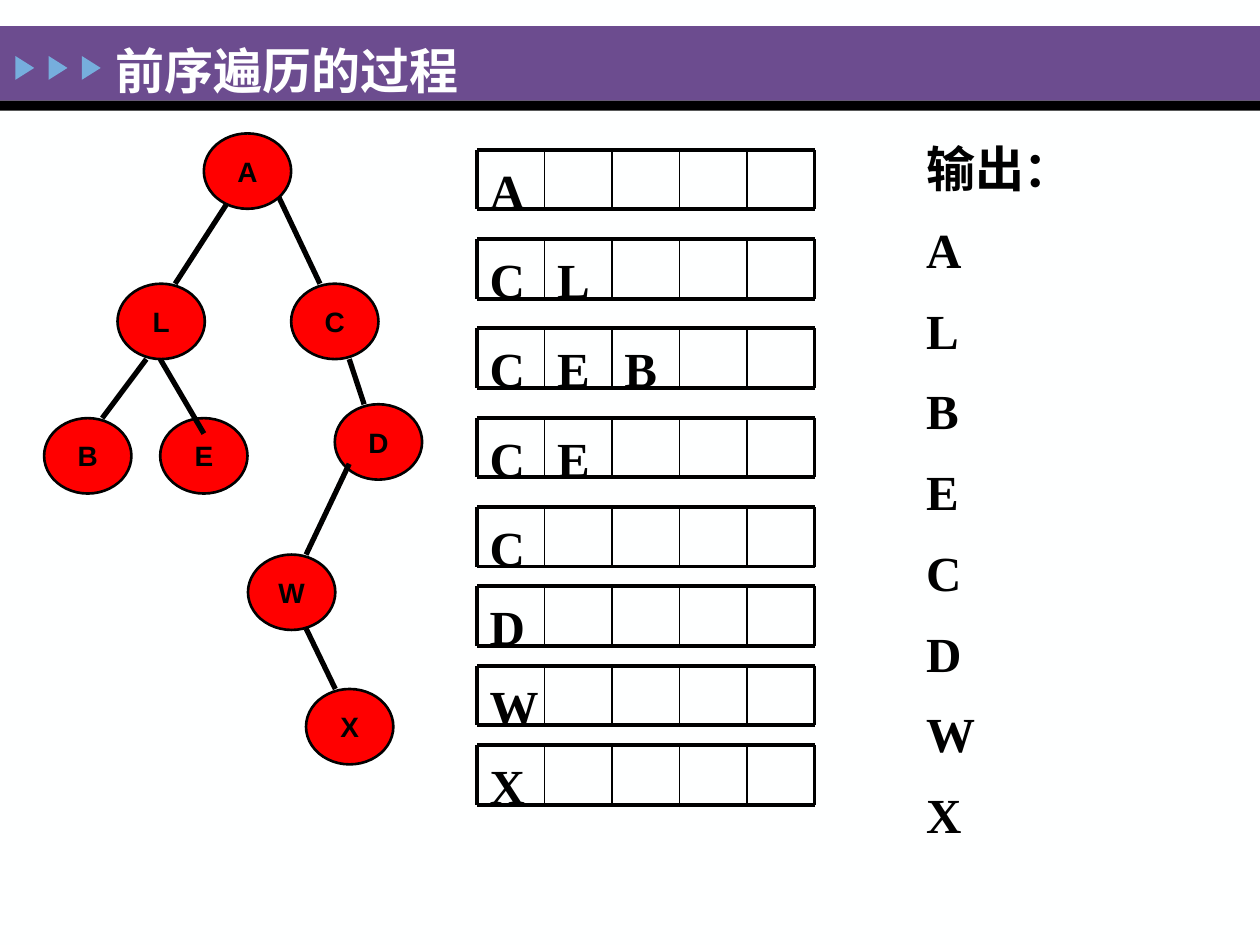
from lxml import etree
from pptx import Presentation
from pptx.dml.color import RGBColor
from pptx.enum.shapes import MSO_CONNECTOR, MSO_SHAPE
from pptx.enum.text import MSO_ANCHOR, MSO_AUTO_SIZE, PP_ALIGN
from pptx.oxml.ns import qn
from pptx.util import Cm, Pt

RECTANGLE = MSO_SHAPE.RECTANGLE
TRIANGLE = MSO_SHAPE.ISOSCELES_TRIANGLE
OVAL = MSO_SHAPE.OVAL
STRAIGHT = MSO_CONNECTOR.STRAIGHT
MIDDLE = MSO_ANCHOR.MIDDLE
FIXED_SIZE = MSO_AUTO_SIZE.NONE
LEFT = PP_ALIGN.LEFT
CENTER = PP_ALIGN.CENTER

COLORS = {
    "background": "FEFFFF",
    "band": "6C4C8F",
    "marker": "76AEDD",
    "node": "FF0000",
    "black": "000000",
}
SERIF = "Times New Roman"
SANS = "Arial"

NODE_WIDTH, NODE_HEIGHT = 1.76, 1.52
NODES = {
    "B": (0.89, 8.43),
    "C": (5.87, 5.72),
    "D": (6.75, 8.15),
    "E": (3.23, 8.43),
    "L": (2.37, 5.72),
    "X": (6.17, 13.89),
    "W": (5.0, 11.18),
}
ROOT = (4.11, 2.69)
EDGES = [
    (4.7, 3.91, 3.53, 5.72),
    (5.59, 3.91, 6.45, 5.72),
    (7.04, 7.24, 7.34, 8.15),
    (3.23, 7.24, 4.11, 8.74),
    (2.95, 7.24, 2.06, 8.43),
    (6.17, 12.67, 6.76, 13.89),
    (7.04, 9.35, 6.17, 11.18),
]

STACKS = ["A", "CL", "CEB", "CE", "C", "D", "W", "X"]
STACK_LEFT, STACK_TOP = 9.62, 3.02
CELL_WIDTH, CELL_HEIGHT, CELL_COUNT = 1.36, 1.2, 5
WIDE_PITCH, NARROW_PITCH, WIDE_STEPS = 1.8, 1.6, 4
OUTPUT = ["输出：", *"ALBECDWX"]


def color(name):
    return RGBColor.from_string(COLORS[name])


def format_paragraph(paragraph, size, font_name, color_name, alignment=LEFT):
    paragraph.alignment = alignment
    font = paragraph.font
    font.size = Pt(size)
    font.name = font_name
    font.bold = True
    font.color.rgb = color(color_name)


def add_filled_shape(slide, kind, left, top, width, height, fill):
    shape = slide.shapes.add_shape(kind, Cm(left), Cm(top), Cm(width), Cm(height))
    shape.shadow.inherit = False
    shape.fill.solid()
    shape.fill.fore_color.rgb = color(fill)
    shape.line.fill.background()
    return shape


def add_line(slide, x1, y1, x2, y2, width):
    line = slide.shapes.add_connector(STRAIGHT, Cm(x1), Cm(y1), Cm(x2), Cm(y2))
    line.line.color.rgb = color("black")
    line.line.width = Pt(width)
    etree.SubElement(line._element.spPr, qn("a:effectLst"))


def add_text(slide, left, top, width, height, lines, space_before=0):
    box = slide.shapes.add_textbox(Cm(left), Cm(top), Cm(width), Cm(height))
    frame = box.text_frame
    frame.word_wrap = True
    frame.margin_top = Cm(0.21)
    frame.text = "\n".join(lines)
    for index, paragraph in enumerate(frame.paragraphs):
        format_paragraph(paragraph, 28, SERIF, "black")
        if index:
            paragraph.space_before = Pt(space_before)


def add_header(slide):
    add_filled_shape(slide, RECTANGLE, 0, 0.53, 25.4, 1.5, "band")
    add_filled_shape(slide, RECTANGLE, 0, 2.03, 25.4, 0.2, "black")
    for index in range(3):
        marker = add_filled_shape(
            slide, TRIANGLE, 0.26 + 0.67 * index, 1.18, 0.48, 0.38, "marker")
        marker.rotation = 90
    title = slide.shapes.title
    title.left, title.top, title.width, title.height = Cm(2.08), Cm(0.97), Cm(19), Cm(0.86)
    frame = title.text_frame
    frame.text = "前序遍历的过程"
    frame.auto_size = FIXED_SIZE
    frame.vertical_anchor = MIDDLE
    format_paragraph(frame.paragraphs[0], 28, SERIF, "background")
    title._element.getparent().append(title._element)


def add_node(slide, letter, left, top):
    node = add_filled_shape(slide, OVAL, left, top, NODE_WIDTH, NODE_HEIGHT, "node")
    node.line.color.rgb = color("black")
    node.line.width = Pt(1.5)
    frame = node.text_frame
    frame.text = letter
    frame.word_wrap = False
    frame.vertical_anchor = MIDDLE
    format_paragraph(frame.paragraphs[0], 16, SANS, "black", CENTER)


def add_tree(slide):
    for letter, position in NODES.items():
        add_node(slide, letter, *position)
    for edge in EDGES:
        add_line(slide, *edge, 3)
    add_node(slide, "A", *ROOT)


def add_stack(slide, letters, top):
    right = STACK_LEFT + CELL_COUNT * CELL_WIDTH
    bottom = top + CELL_HEIGHT
    for index, letter in enumerate(letters):
        add_text(slide, STACK_LEFT + index * CELL_WIDTH, top, CELL_WIDTH, CELL_HEIGHT, [letter])
    for y in (top, bottom):
        add_line(slide, STACK_LEFT, y, right, y, 2.25)
    for index in range(CELL_COUNT + 1):
        x = STACK_LEFT + index * CELL_WIDTH
        add_line(slide, x, top, x, bottom, 2.25 if index in (0, CELL_COUNT) else 1)


def main():
    presentation = Presentation()
    presentation.slide_width, presentation.slide_height = Cm(25.4), Cm(19.05)
    slide = presentation.slides.add_slide(presentation.slide_layouts[5])
    slide.background.fill.solid()
    slide.background.fill.fore_color.rgb = color("background")
    add_header(slide)
    add_tree(slide)
    for index, letters in enumerate(STACKS):
        wide = min(index, WIDE_STEPS)
        top = STACK_TOP + wide * WIDE_PITCH + (index - wide) * NARROW_PITCH
        add_stack(slide, letters, top)
    add_text(slide, 18.42, 2.59, 5.2, 14.73, OUTPUT, 12.5)
    presentation.save("out.pptx")


if __name__ == "__main__":
    main()
